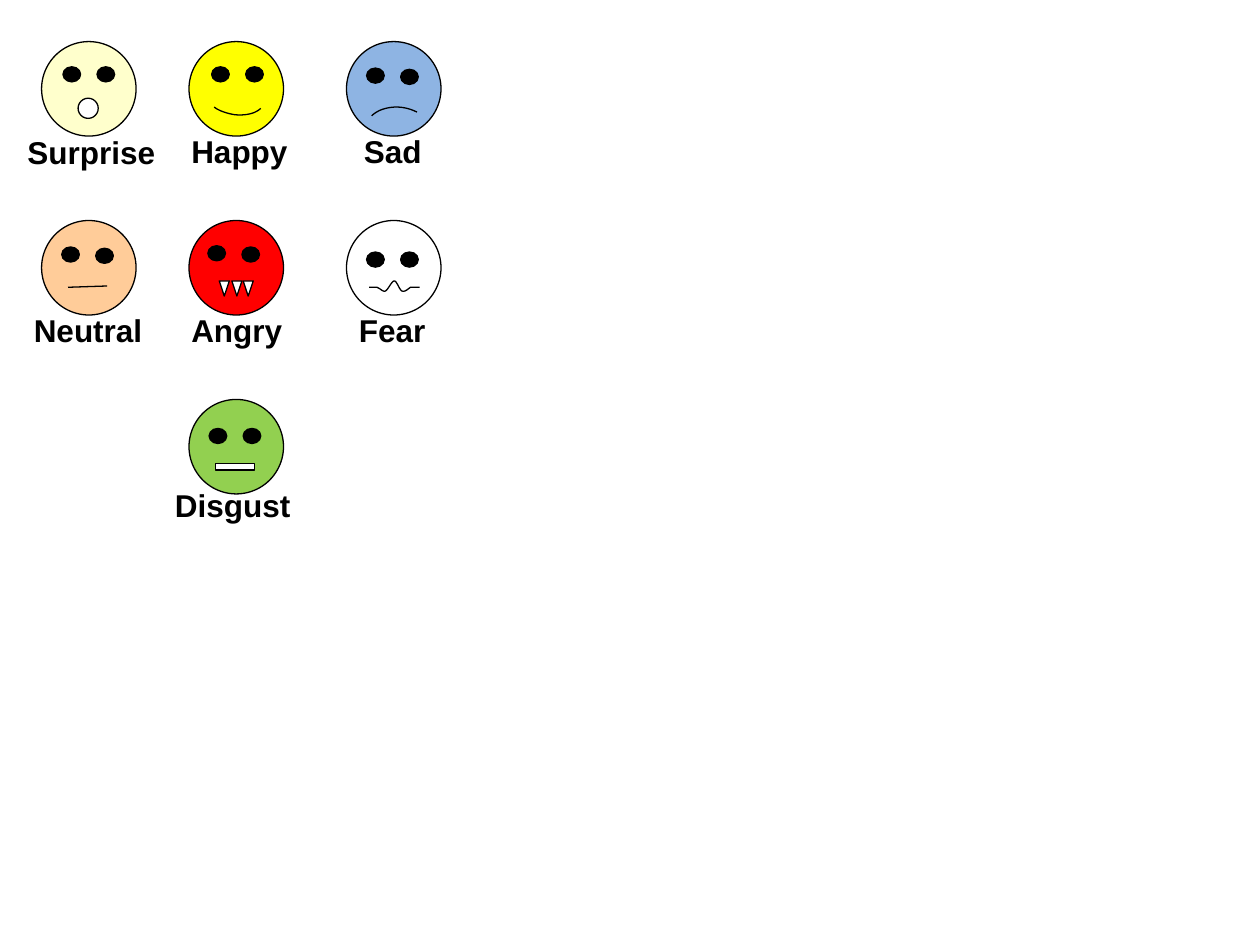
from pptx import Presentation, util as u
from pptx.dml.color import RGBColor
from pptx.enum import shapes, text

# Content: name, (column, row), fill, first eye, drop of second eye,
# label (left, top, width), mouth; inches from the face's corner
FACES = [
    ("Happy", (1, 0), "FFFF00", (.18, .2), 0, (-.08, .67, .97), "smile"),
    ("Sad", (2, 0), "8EB4E3", (.16, .21), .01, (.04, .67, .66), "frown"),
    ("Surprise", (0, 0), "FFFFCC", (.17, .2), 0, (-.21, .68, 1.23), "open"),
    ("Neutral", (0, 1), "FFCC99", (.16, .21), .01, (-.16, .67, 1.07), "flat"),
    ("Angry", (1, 1), "FF0000", (.15, .2), .01, (-.08, .67, .93), "fangs"),
    ("Fear", (2, 1), "FFFFFF", (.16, .25), 0, (0, .67, .73), "wavy"),
    ("Disgust", (1, 2), "92D050", (.16, .23), 0, (-.21, .64, 1.13), "teeth"),
]
SOLID_MOUTHS = {
    "open": [("OVAL", .29, .45, .16, .16)],
    "fangs": [("ISOSCELES_TRIANGLE", x, .48, .08, .12) for x in (.24, .34, .43)],
    "teeth": [("RECTANGLE", .21, .51, .31, .05)],
}
# Cubic curves: a start point, then three points for each segment
CURVED_MOUTHS = {
    "smile": [(.57, .53), (.53, .57), (.45, .59), (.36, .58),
              (.3, .57), (.24, .55), (.2, .52)],
    "frown": [(.2, .59), (.24, .55), (.31, .52), (.4, .52),
              (.46, .52), (.52, .54), (.56, .56)],
    "wavy": [(.18, .53), (.2, .53), (.22, .53), (.24, .53),
             (.27, .54), (.29, .57), (.31, .56), (.33, .55), (.36, .48), (.38, .48),
             (.4, .48), (.42, .55), (.44, .56), (.47, .57), (.49, .54), (.51, .53),
             (.53, .53), (.56, .53), (.58, .53)],
}
FLAT_MOUTH = (.21, .53, .52, .52)

# Theme and grid
THEME = dict(ink="000000", white="FFFFFF", font="Arial", size=18, line=.75)
COLUMNS, TOP, ROW = (.33, 1.5, 2.75), .33, 1.42
FACE, EYE, EYE_GAP, LABEL_H, STEPS = .75, (.14, .12), .27, .4, 12


def rgb(value):
    return RGBColor.from_string(value)


def outline(sp):
    sp.line.color.rgb = rgb(THEME["ink"])
    sp.line.width = u.Pt(THEME["line"])


def solid(parent, kind, box, fill):
    sp = parent.add_shape(getattr(shapes.MSO_SHAPE, kind), *map(u.Inches, box))
    sp.shadow.inherit = False
    sp.fill.solid()
    sp.fill.fore_color.rgb = rgb(fill)
    outline(sp)
    return sp


def curve(parent, points, x, y):
    dots = [points[0]]
    for i in range(0, len(points) - 1, 3):
        a, b, c, d = points[i:i + 4]
        for t in (n / STEPS for n in range(1, STEPS + 1)):
            k = 1 - t
            dots.append(tuple(k**3 * a[j] + 3 * k * k * t * b[j] + 3 * k * t * t * c[j]
                              + t**3 * d[j] for j in (0, 1)))
    dots = [(u.Inches(x + px), u.Inches(y + py)) for px, py in dots]
    builder = parent.build_freeform(*dots[0])
    builder.add_line_segments(dots[1:], close=False)
    sp = builder.convert_to_shape()
    sp.shadow.inherit = False
    sp.fill.background()
    outline(sp)


def add_mouth(parent, mouth, x, y):
    if mouth in CURVED_MOUTHS:
        curve(parent, CURVED_MOUTHS[mouth], x, y)
    elif mouth == "flat":
        x1, y1, x2, y2 = FLAT_MOUTH
        ends = map(u.Inches, (x + x1, y + y1, x + x2, y + y2))
        line = parent.add_connector(shapes.MSO_CONNECTOR.STRAIGHT, *ends)
        outline(line)
        props = line._element.spPr
        props.append(props.makeelement(
            "{http://schemas.openxmlformats.org/drawingml/2006/main}effectLst", {}))
    else:
        for kind, dx, dy, w, h in SOLID_MOUTHS[mouth]:
            sp = solid(parent, kind, (x + dx, y + dy, w, h), THEME["white"])
            if mouth == "fangs":
                sp._element.spPr.xfrm.set("flipV", "1")


def add_label(s, name, box):
    tf = s.shapes.add_textbox(*map(u.Inches, box)).text_frame
    tf.word_wrap = False
    tf.auto_size = text.MSO_AUTO_SIZE.SHAPE_TO_FIT_TEXT
    r = tf.paragraphs[0].add_run()
    r.text = name
    for key, value in dict(name=THEME["font"], size=u.Pt(THEME["size"]), bold=True).items():
        setattr(r.font, key, value)
    r.font.color.rgb = rgb(THEME["ink"])


prs = Presentation()
prs.slide_width, prs.slide_height = u.Inches(10), u.Inches(7.5)
s = prs.slides.add_slide(prs.slide_layouts[6])

# One group per face, with its label below
for name, (col, row), fill, (ex, ey), drop, (lx, ly, lw), mouth in FACES:
    x, y = COLUMNS[col], TOP + row * ROW
    face = s.shapes.add_group_shape().shapes
    solid(face, "OVAL", (x, y, FACE, FACE), fill)
    add_mouth(face, mouth, x, y)
    for n in (0, 1):
        solid(face, "OVAL", (x + ex + n * EYE_GAP, y + ey + n * drop, *EYE), THEME["ink"])
    add_label(s, name, (x + lx, y + ly, lw, LABEL_H))

prs.save("out.pptx")
